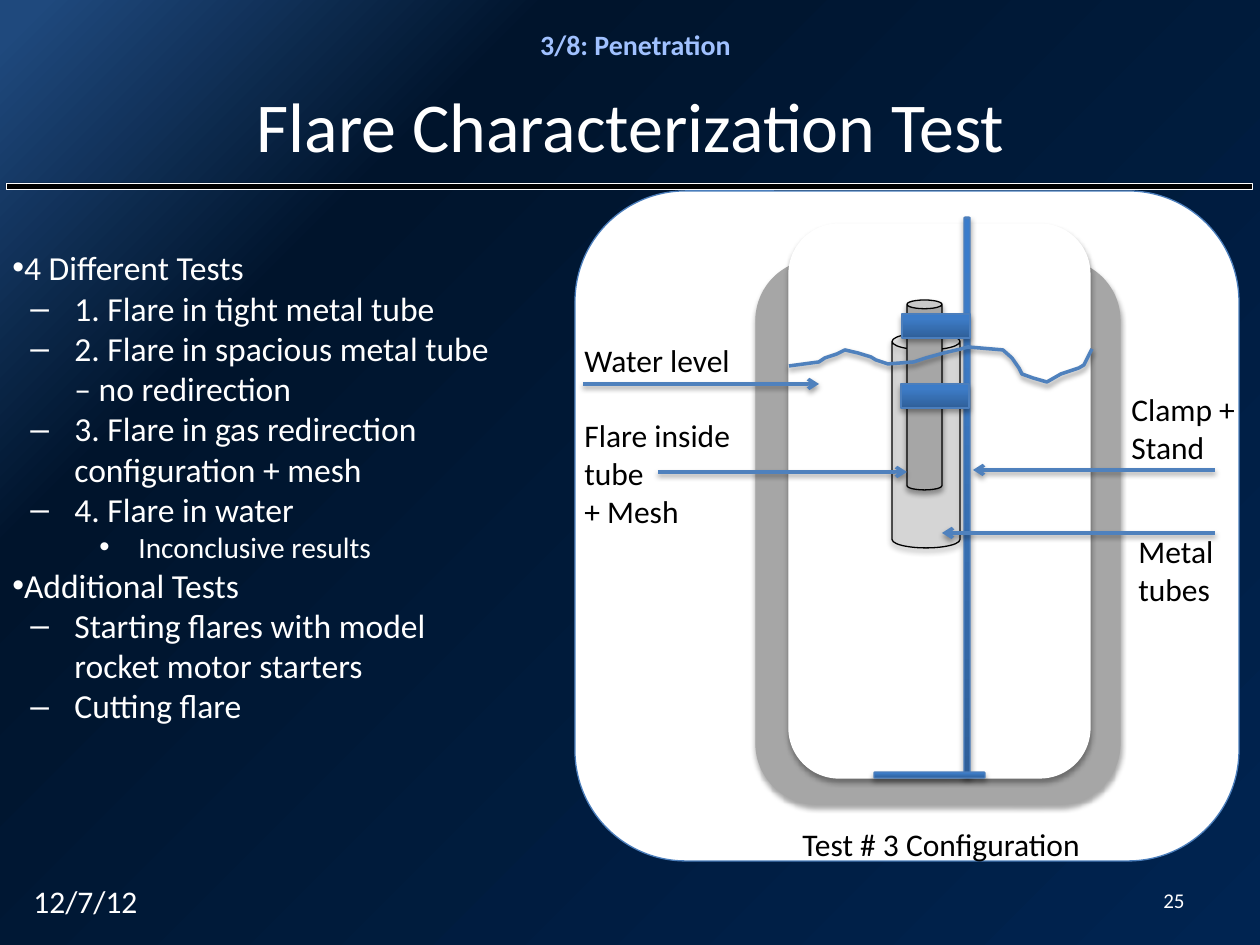
from lxml.etree import SubElement
from pptx import Presentation
from pptx.dml.color import RGBColor
from pptx.enum.shapes import MSO_CONNECTOR as Link, MSO_SHAPE as Kind
from pptx.enum.text import MSO_ANCHOR as Anchor, PP_ALIGN as Align
from pptx.oxml.ns import qn
from pptx.util import Pt

PX = 914400 / 126
FONT = "Calibri"
HUES = {
    "white": "FFFFFF", "black": "000000", "gray": "A6A6A6", "pale": "BFBFBF",
    "edge": "4B7EBC", "line": "4F81BD", "head": "A0C1FF",
}
NIGHT = [(2, "1F497D"), (25, "00142C"), (100, "002451")]
STEEL = [(0, "2F5F99"), (80, "3D7CC7"), (100, "3A7CCB")]

# Outline text: level, words
POINTS = [
    (0, "4 Different Tests"),
    (1, "1. Flare in tight metal tube"),
    (1, "2. Flare in spacious metal tube – no redirection"),
    (1, "3. Flare in gas redirection configuration + mesh"),
    (1, "4. Flare in water"),
    (2, "Inconclusive results"),
    (0, "Additional Tests"),
    (1, "Starting flares with model rocket motor starters"),
    (1, "Cutting flare"),
]
# Per level: bullet, margin, hang, size
LEVELS = [("•", 0, 0, 19.2), ("–", 62, 44, 19.2), ("•", 126, 39, 16.8)]

# Shapes from back to front: kind, box, fill, line, line width, shadow
ROUND, CAN, RECT = Kind.ROUNDED_RECTANGLE, Kind.CAN, Kind.RECTANGLE
PARTS = [
    (RECT, (6, 183, 1246, 6), "black", "white", 0.25, False),     # rule
    (ROUND, (575, 191, 664, 670), "white", "edge", 0.75, False),  # panel
    (ROUND, (756, 260, 364, 544), "gray", "gray", 0.75, True),    # tank
    (ROUND, (789, 224, 301, 554), "white", "white", 0.75, True),  # water
    (CAN, (964, 217, 6, 559), STEEL, "edge", 0.75, True),         # stand
    (CAN, (892, 333, 68, 215), "pale", "black", 0.75, True),      # tube
    (CAN, (907, 300, 35, 190), "gray", "black", 0.75, True),      # flare
    (RECT, (901, 384, 68, 24), STEEL, "edge", 0.75, True),        # clamps
    (RECT, (902, 314, 68, 24), STEEL, "edge", 0.75, True),
    (ROUND, (874, 772, 111, 6), STEEL, "edge", 0.75, True),       # foot
]
WAVES = [
    (789, 366), (819, 362), (825, 358), (837, 354), (845, 350), (858, 353),
    (871, 357), (876, 360), (888, 364), (914, 362), (926, 358), (944, 353),
    (961, 349), (968, 347), (1003, 350), (1012, 358), (1019, 368),
    (1022, 374), (1033, 378), (1047, 382), (1061, 374), (1079, 368),
    (1084, 365), (1092, 349),
]
ARROWS = [
    (583, 384, 819, 384), (658, 472, 907, 472),
    (1215, 470, 973, 470), (1215, 533, 942, 533),
]
# Words, box, size, colour, bold, align, anchor, wrap
LEFT, MID, RIGHT = Align.LEFT, Align.CENTER, Align.RIGHT
TOP, HALF = Anchor.TOP, Anchor.MIDDLE
LABELS = [
    (["3/8: Penetration"], (410, 21, 451, 47), 16, "head", True, MID, TOP, True),
    (["Flare Characterization Test"], (111, 69, 1039, 111), 40, "white", False, MID, HALF, True),
    (["Water level"], (572, 335, 173, 50), 18, "black", False, LEFT, TOP, False),
    (["Flare inside tube", "+ Mesh"], (572, 410, 173, 127), 18, "black", False, LEFT, TOP, True),
    (["Clamp + Stand"], (1119, 384, 142, 89), 18, "black", False, LEFT, TOP, True),
    (["Metal tubes"], (1126, 526, 122, 89), 18, "black", False, LEFT, TOP, True),
    (["Test # 3 Configuration"], (790, 819, 306, 50), 18, "black", False, LEFT, TOP, False),
    (["12/7/12"], (21, 876, 294, 50), 18, "white", False, LEFT, TOP, True),
    (["25"], (1144, 876, 53, 48), 12, "white", False, RIGHT, HALF, True),
]


def emu(*nums):
    return [round(n * PX) for n in nums]


def hue(name):
    return RGBColor.from_string(HUES[name])


def blend(fill, root, stops, angle):
    fill.gradient()
    fill.gradient_angle = angle
    bag = next(root.iter(qn("a:gsLst")))
    for old in list(bag):
        bag.remove(old)
    for pos, tint in stops:
        stop = SubElement(bag, qn("a:gs"), pos=str(pos * 1000))
        SubElement(stop, qn("a:srgbClr"), val=tint)


def shade(shape, alpha):
    """Give the shape a soft shadow below, or none when alpha is 0."""
    props = shape.element.spPr
    for old in props.findall(qn("a:effectLst")):
        props.remove(old)
    bag = SubElement(props, qn("a:effectLst"))
    if alpha:
        drop = SubElement(bag, qn("a:outerShdw"), blurRad="39370", dist="22860",
                          dir="5400000", rotWithShape="0")
        tint = SubElement(drop, qn("a:srgbClr"), val=HUES["black"])
        SubElement(tint, qn("a:alpha"), val=str(alpha * 1000))


def stroke(shape, name, width):
    shape.line.color.rgb = hue(name)
    shape.line.width = Pt(width)


def write(para, words, size, name, bold=False):
    run = para.add_run()
    run.text = words
    font = run.font
    font.name, font.size, font.bold = FONT, Pt(size), bold
    font.color.rgb = hue(name)


def frame(box, wrap=True):
    text = slide.shapes.add_textbox(*emu(*box)).text_frame
    text.word_wrap = wrap
    return text


def paras(text, items):
    for i, item in enumerate(items):
        yield (text.add_paragraph() if i else text.paragraphs[0]), item


deck = Presentation()
deck.slide_width, deck.slide_height = emu(1260, 945)
slide = deck.slides.add_slide(deck.slide_layouts[6])
blend(slide.background.fill, slide.element, NIGHT, 315)

# Rule, panel and apparatus
for kind, box, fill, line, width, drop in PARTS:
    shape = slide.shapes.add_shape(kind, *emu(*box))
    if isinstance(fill, list):
        blend(shape.fill, shape.element, fill, 90)
    else:
        shape.fill.solid()
        shape.fill.fore_color.rgb = hue(fill)
        if fill == "pale":
            tint = next(shape.element.spPr.iter(qn("a:srgbClr")))
            SubElement(tint, qn("a:alpha"), val="34000")
    stroke(shape, line, width)
    shade(shape, 35 if drop else 0)

# Water surface
pen = slide.shapes.build_freeform(*emu(*WAVES[0]))
pen.add_line_segments([emu(*spot) for spot in WAVES[1:]], close=False)
wave = pen.convert_to_shape()
wave.fill.background()
stroke(wave, "line", 2)
shade(wave, 38)

# Arrows
for ends in ARROWS:
    arrow = slide.shapes.add_connector(Link.STRAIGHT, *emu(*ends))
    stroke(arrow, "line", 2)
    SubElement(arrow.line._get_or_add_ln(), qn("a:tailEnd"), type="arrow")
    shade(arrow, 38)

# Outline
for para, (level, words) in paras(frame((0, 241, 520, 631)), POINTS):
    mark, left, hang, size = LEVELS[level]
    props = para._p.get_or_add_pPr()
    props.set("marL", str(emu(left)[0]))
    props.set("indent", str(-emu(hang)[0]))
    SubElement(props, qn("a:buFont"), typeface="Arial")
    SubElement(props, qn("a:buChar"), char=mark)
    para.level = level
    write(para, words, size, "white")

# Headings, labels and footer
for lines, box, size, name, bold, align, anchor, wrap in LABELS:
    text = frame(box, wrap)
    text.vertical_anchor = anchor
    for para, words in paras(text, lines):
        para.alignment = align
        write(para, words, size, name, bold)

deck.save("out.pptx")
